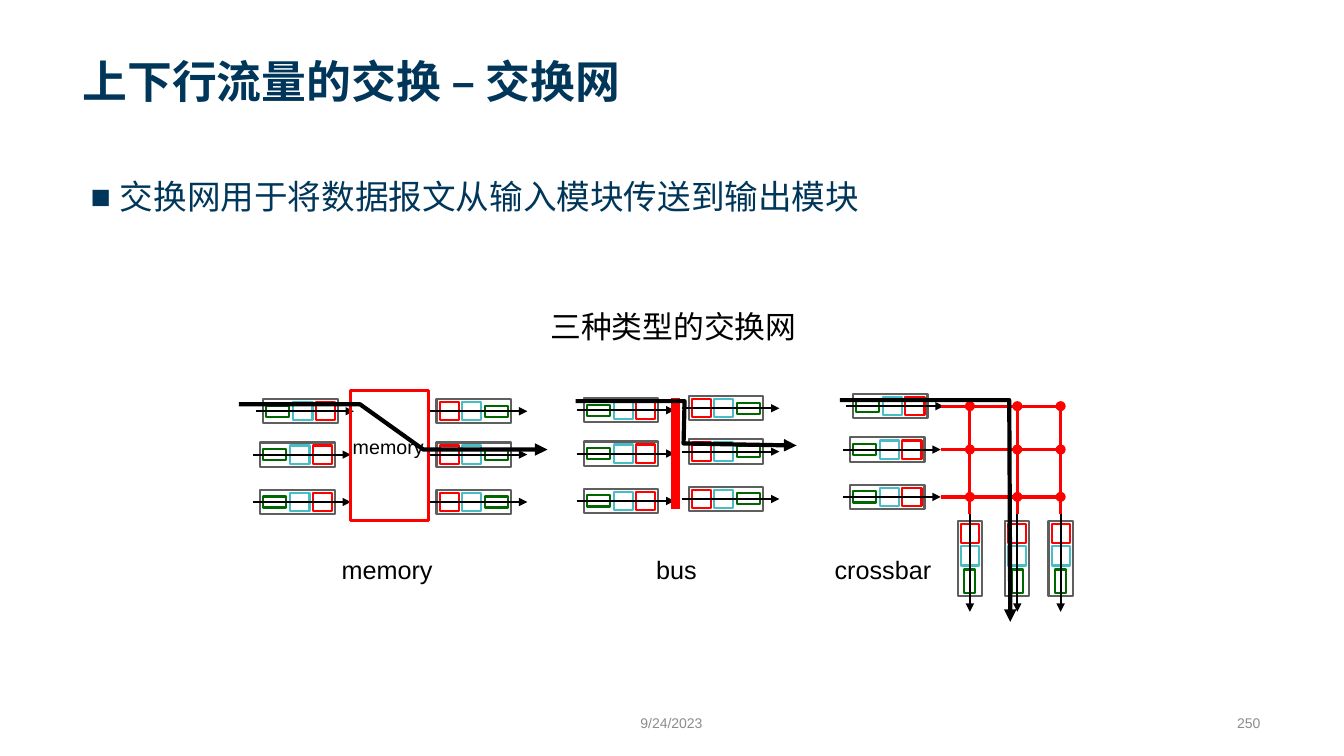
from lxml.etree import SubElement as Sub
from pptx import Presentation
from pptx.dml.color import RGBColor
from pptx.enum.shapes import MSO_CONNECTOR as Conn, MSO_SHAPE as Shape
from pptx.enum.text import MSO_ANCHOR as Anchor, PP_ALIGN as Align
from pptx.oxml.ns import qn
from pptx.util import Inches, Pt

NAVY, BLACK, RED = "003659", "000000", "FF0000"
GREEN, CYAN, GRAY, PALE, WHITE = "006600", "47BEC6", "5F5F5F", "8C8C8C", "FFFFFF"
ROWS = (0, 0.43, 0.9)
PORT_W, PORT_H = 0.74, 0.24
# Offset, length, thickness and colour of each cell, from the switch outwards
CELLS = ((0.03, 0.19, 0.18, RED), (0.25, 0.19, 0.18, CYAN), (0.48, 0.23, 0.11, GREEN))


def color(code):
    return RGBColor.from_string(code)


def write(slide, box, text, size=18, ink=BLACK, bold=False, align=Align.LEFT,
          anchor=Anchor.TOP, wrap=True, bullet=None):
    frame = slide.shapes.add_textbox(*map(Inches, box)).text_frame
    frame.word_wrap = wrap
    frame.vertical_anchor = anchor
    par = frame.paragraphs[0]
    par.text = text
    par.alignment = align
    par.line_spacing = 1.2
    if bullet:
        props = par._p.get_or_add_pPr()
        props.set("marL", str(Inches(0.29)))
        props.set("indent", str(-Inches(0.29)))
        Sub(props, qn("a:buFont"), typeface="Arial")
        Sub(props, qn("a:buChar"), char=bullet)
    font = par.runs[0].font
    font.name, font.size, font.bold = "Arial", Pt(size), bold
    font.color.rgb = color(ink)


def stroke(item, ink, width, arrow=False):
    item.line.color.rgb = color(ink)
    item.line.width = Pt(width)
    if arrow:
        Sub(item.line._get_or_add_ln(), qn("a:tailEnd"), type="triangle")


def draw(slide, kind, box, fill=None, ink=None, width=1.5):
    item = slide.shapes.add_shape(kind, *map(Inches, box))
    item.shadow.inherit = False
    if fill:
        item.fill.solid()
        item.fill.fore_color.rgb = color(fill)
    else:
        item.fill.background()
    if ink:
        stroke(item, ink, width)
    else:
        item.line.fill.background()


def link(slide, start, end, ink=BLACK, width=1.5, arrow=False):
    item = slide.shapes.add_connector(Conn.STRAIGHT, *map(Inches, (*start, *end)))
    stroke(item, ink, width, arrow)
    Sub(item._element.spPr, qn("a:effectLst"))


def route(slide, points):
    """Thick arrow that follows one packet through the switch."""
    first, *rest = [tuple(map(Inches, point)) for point in points]
    form = slide.shapes.build_freeform(*first)
    form.add_line_segments(rest, close=False)
    item = form.convert_to_shape()
    item.shadow.inherit = False
    item.fill.background()
    stroke(item, BLACK, 3, arrow=True)


def port(slide, x, y, inward=False, down=False):
    """Module of three cells crossed by an arrow; down turns it upright."""
    def place(along, across, length, thick):
        if down:
            return x + across, y + along, thick, length
        return x + along, y + across, length, thick

    draw(slide, Shape.RECTANGLE, place(0, 0, PORT_W, PORT_H), WHITE, GRAY)
    for along, length, thick, ink in CELLS:
        if inward:
            along = PORT_W - along - length
        box = place(along, (PORT_H - thick) / 2, length, thick)
        draw(slide, Shape.RECTANGLE, box, WHITE, ink)
    mid = PORT_H / 2
    link(slide, place(-0.07, mid, 0, 0)[:2], place(0.9, mid, 0, 0)[:2], arrow=True)


def ports(slide, x, y, inward=False, shift=0):
    """Column of three modules, the top one moved right by shift."""
    for row in ROWS:
        port(slide, x + (0 if row else shift), y + row, inward)


def memory(slide, x, y):
    ports(slide, x + 0.21, y, inward=True, shift=0.03)
    draw(slide, Shape.RECTANGLE, (x + 1.11, y - 0.09, 0.77, 1.29), ink=RED, width=2.25)
    ports(slide, x + 1.96, y)
    write(slide, (x + 0.92, y + 1.43, 1.11, 0.43), "memory", wrap=False)
    write(slide, (x + 1.03, y + 0.26, 0.91, 0.36), "memory", size=14, wrap=False)
    route(slide, [(x, y + 0.05), (x + 1.2, y + 0.05),
                  (x + 1.83, y + 0.5), (x + 3.06, y + 0.5)])


def bus(slide, x, y):
    ports(slide, x + 0.08, y - 0.01, inward=True)
    link(slide, (x + 0.99, y - 0.01), (x + 0.99, y + 1.09), RED, 6)
    ports(slide, x + 1.12, y - 0.03)
    write(slide, (x + 0.7, y + 1.43, 0.61, 0.43), "bus", wrap=False)
    route(slide, [(x, y + 0.02), (x + 1.08, y + 0.02),
                  (x + 1.07, y + 0.44), (x + 2.19, y + 0.46)])


def crossbar(slide, x, y):
    ports(slide, x + 0.1, y - 0.05, inward=True, shift=0.03)
    right, top, dot = x + 2.19, y + 0.07, 0.1
    cols = [right - gap for gap in ROWS]
    lines = [top + gap for gap in ROWS]
    for col in cols:
        port(slide, col - PORT_H / 2, y + 1.21, down=True)
    for line in lines:
        link(slide, (x + 1, line), (right, line), RED, 2.25)
    for col in cols:
        link(slide, (col, y + 1.14), (col, top), RED, 2.25)
        for line in lines:
            draw(slide, Shape.OVAL, (col - dot / 2, line - dot / 2, dot, dot), RED)
    write(slide, (x - 0.15, y + 1.43, 1.17, 0.43), "crossbar", wrap=False)
    route(slide, [(x, y + 0.01), (x + 1.68, y + 0.01), (x + 1.69, y + 2.21)])


def heading(slide, x, y):
    write(slide, (x, y, 11.88, 0.98), "上下行流量的交换 – 交换网", size=32, ink=NAVY,
          bold=True, anchor=Anchor.BOTTOM)
    write(slide, (x + 0.08, y + 1.48, 11.73, 0.9),
          "交换网用于将数据报文从输入模块传送到输出模块", size=24, ink=NAVY, bullet="■")


def footer(slide, y):
    look = dict(size=10, ink=PALE, anchor=Anchor.MIDDLE)
    write(slide, (5.16, y, 3, 0.3), "9/24/2023", align=Align.CENTER, **look)
    write(slide, (8.5, y, 4.1, 0.3), "250", align=Align.RIGHT, **look)


def main():
    deck = Presentation()
    deck.slide_width, deck.slide_height = Inches(13.33), Inches(7.5)
    slide = deck.slides.add_slide(deck.slide_layouts[6])
    heading(slide, 0.72, 0.14)
    write(slide, (5.36, 2.93, 2.67, 0.51), "三种类型的交换网", size=22, wrap=False)
    for kind, x in ((memory, 2.37), (bus, 5.71), (crossbar, 8.33)):
        kind(slide, x, 3.96)
    footer(slide, 7.01)
    deck.save("out.pptx")


if __name__ == "__main__":
    main()
